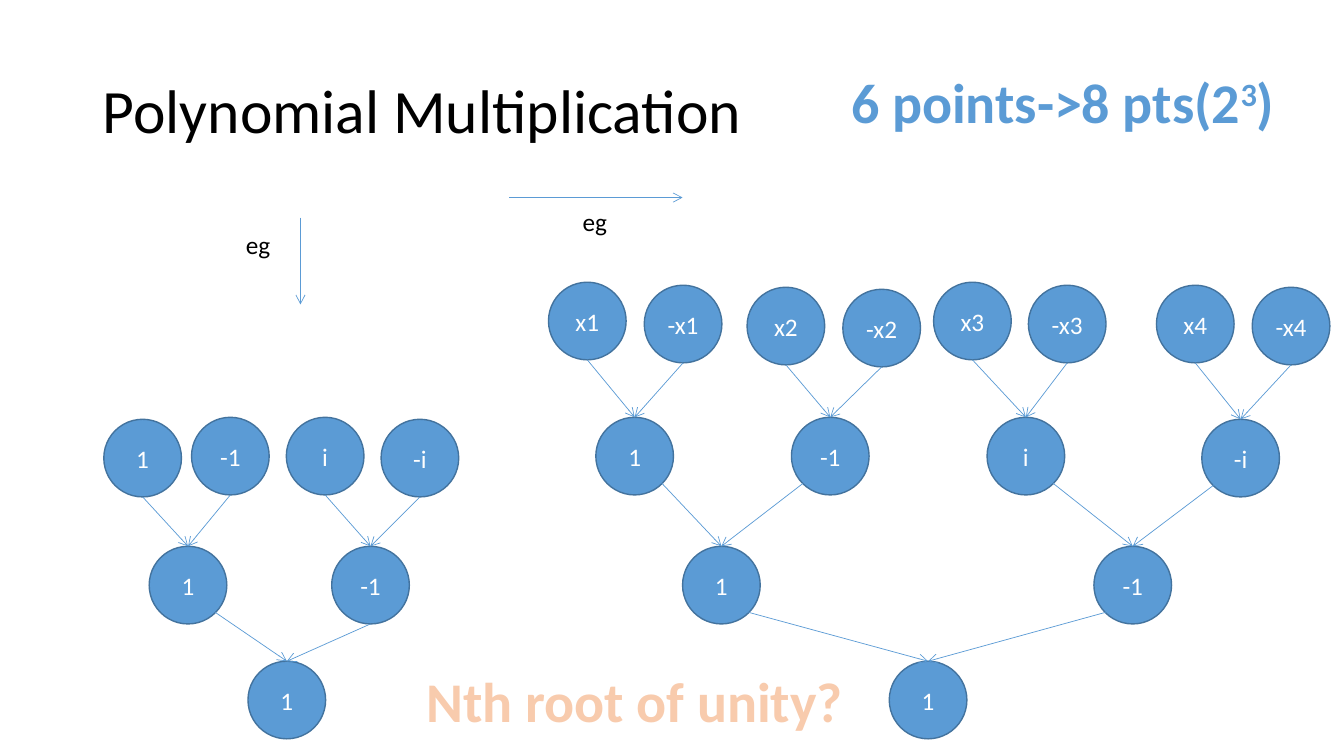
from dataclasses import dataclass

from lxml import etree
from pptx import Presentation
from pptx.dml.color import RGBColor
from pptx.enum.shapes import MSO_CONNECTOR, MSO_SHAPE
from pptx.enum.text import MSO_ANCHOR, MSO_AUTO_SIZE, PP_ALIGN
from pptx.oxml.ns import qn
from pptx.util import Emu, Pt

OVAL = MSO_SHAPE.OVAL
STRAIGHT = MSO_CONNECTOR.STRAIGHT
MIDDLE = MSO_ANCHOR.MIDDLE
LEFT, CENTER = PP_ALIGN.LEFT, PP_ALIGN.CENTER
FIT_SHAPE = MSO_AUTO_SIZE.SHAPE_TO_FIT_TEXT

SCALE = 9144  # EMU in one px, 100 px to the inch
DIAMETER = 77
DIAGONAL = 27  # offset of the 45 degree points from a circle's centre


@dataclass(frozen=True)
class Theme:
    font: str = "Calibri"
    text: str = "000000"
    node_text: str = "FFFFFF"
    blue: str = "5B9BD5"
    node_edge: str = "43739E"
    peach: str = "F8CBAD"
    orange: str = "ED7D31"
    title_size: int = 44
    callout_size: int = 40
    body_size: int = 18


THEME = Theme()

# Node: label, left, top, side the arrow leaves from (-1 left, 0 bottom, 1 right), children
FOURTH_ROOTS = ("1", 246, 656, 0, [
    ("1", 148, 542, 1, [("1", 103, 416, 0, []), ("-1", 190, 414, 0, [])]),
    ("-1", 329, 542, 0, [("i", 284, 414, 0, []), ("-i", 378, 416, 0, [])]),
])
EIGHTH_ROOTS = ("1", 882, 656, 0, [
    ("1", 677, 542, 1, [
        ("1", 591, 414, 1, [("x1", 544, 280, 0, []), ("-x1", 639, 283, 0, [])]),
        ("-1", 785, 414, -1, [("x2", 741, 285, 0, []), ("-x2", 836, 287, 0, [])]),
    ]),
    ("-1", 1085, 542, -1, [
        ("i", 979, 414, 1, [("x3", 926, 280, 0, []), ("-x3", 1020, 283, 0, [])]),
        ("-i", 1192, 416, -1, [("x4", 1147, 283, 0, []), ("-x4", 1242, 285, 0, [])]),
    ]),
])


def px(n):
    return Emu(round(n * SCALE))


def style(p, size, color, bold=False):
    for r in p.runs:
        r.font.name = THEME.font
        r.font.size = Pt(size)
        r.font.bold = bold
        r.font.color.rgb = RGBColor.from_string(color)


def add_text(s, box, text, size, color, align=LEFT, bold=False, wrap=True):
    sp = s.shapes.add_textbox(*map(px, box))
    tf = sp.text_frame
    tf.text = text
    tf.word_wrap = wrap
    tf.auto_size = FIT_SHAPE
    p = tf.paragraphs[0]
    p.alignment = align
    style(p, size, color, bold)
    return sp


def add_title(s, text):
    sp = add_text(s, (92, 40, 1150, 145), text, THEME.title_size, THEME.text)
    tf = sp.text_frame
    tf.auto_size = MSO_AUTO_SIZE.NONE
    tf.vertical_anchor = MIDDLE
    tf.paragraphs[0].line_spacing = 0.9


def add_callout(s, box, text, color):
    sp = add_text(s, box, text, THEME.callout_size, color, CENTER, bold=True, wrap=False)
    return sp.text_frame.paragraphs[0]


def add_power(p, exponent, rest):
    """Continue a callout with a superscript and the text after it."""
    for text in (exponent, rest):
        p.add_run().text = text
    p.runs[1]._r.get_or_add_rPr().set("baseline", "30000")
    style(p, THEME.callout_size, THEME.blue, bold=True)


def outline_text(p, color, width):
    for r in p.runs:
        ln = etree.Element(qn("a:ln"), w=str(Pt(width)))
        fill = etree.SubElement(ln, qn("a:solidFill"))
        etree.SubElement(fill, qn("a:srgbClr"), val=color)
        r._r.get_or_add_rPr().insert(0, ln)


def add_arrow(s, x1, y1, x2, y2):
    cxn = s.shapes.add_connector(STRAIGHT, px(x1), px(y1), px(x2), px(y2))
    cxn.line.color.rgb = RGBColor.from_string(THEME.blue)
    cxn.line.width = Pt(0.5)
    etree.SubElement(cxn.line._get_or_add_ln(), qn("a:tailEnd"), type="arrow")
    etree.SubElement(cxn._element.spPr, qn("a:effectLst"))
    return cxn


def add_node(s, label, x, y):
    sp = s.shapes.add_shape(OVAL, px(x), px(y), px(DIAMETER), px(DIAMETER))
    sp.shadow.inherit = False
    sp.fill.solid()
    sp.fill.fore_color.rgb = RGBColor.from_string(THEME.blue)
    sp.line.color.rgb = RGBColor.from_string(THEME.node_edge)
    sp.line.width = Pt(1)
    tf = sp.text_frame
    tf.text = label
    tf.vertical_anchor = MIDDLE
    p = tf.paragraphs[0]
    p.alignment = CENTER
    style(p, THEME.body_size, THEME.node_text)
    return sp


def add_tree(s, node):
    """Draw a node and its subtree, with an arrow from each child to the node's top."""
    label, x, y, _, children = node
    sp = add_node(s, label, x, y)
    radius = DIAMETER / 2
    for child in children:
        add_tree(s, child)
        _, left, top, side, _ = child
        start_x = left + radius + side * DIAGONAL
        start_y = top + radius + (DIAGONAL if side else radius)
        cxn = add_arrow(s, start_x, start_y, x + radius, y)
        cxn.end_connect(sp, 0)


def main():
    prs = Presentation()
    prs.slide_width, prs.slide_height = px(1333), px(750)
    s = prs.slides.add_slide(prs.slide_layouts[6])

    add_title(s, "Polynomial Multiplication")
    for x, y in ((234, 223), (568, 200)):
        add_text(s, (x, y, 46, 40), "eg", THEME.body_size, THEME.text)
    add_arrow(s, 298, 216, 298, 302)
    add_arrow(s, 505, 196, 677, 196)

    add_tree(s, FOURTH_ROOTS)
    add_tree(s, EIGHTH_ROOTS)

    points = add_callout(s, (833, 62, 442, 77), "6 points->8 pts(2", THEME.blue)
    add_power(points, "3", ")")
    question = add_callout(s, (413, 656, 433, 77), "Nth root of unity?", THEME.peach)
    outline_text(question, THEME.orange, 1.75)

    prs.save("out.pptx")


if __name__ == "__main__":
    main()
